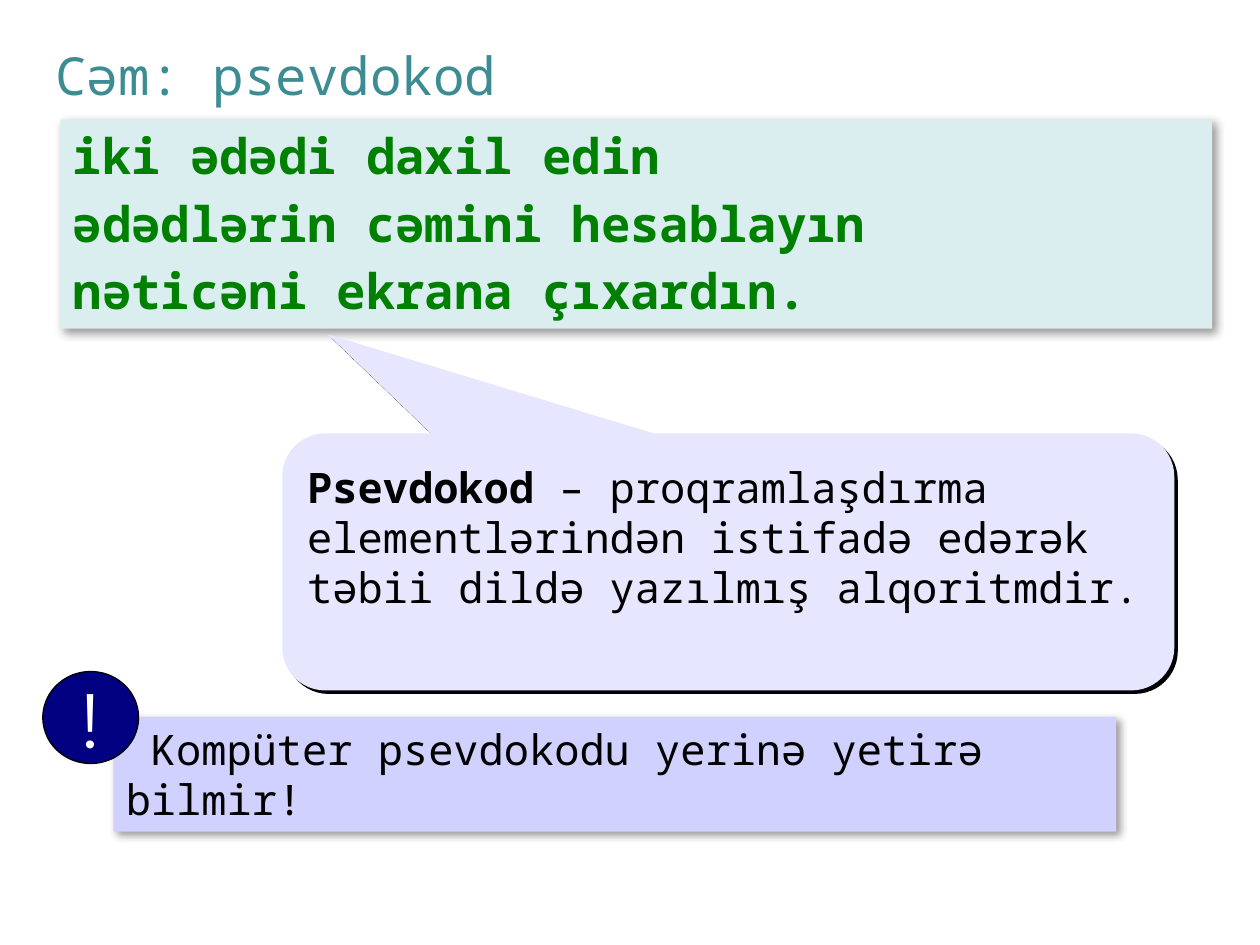
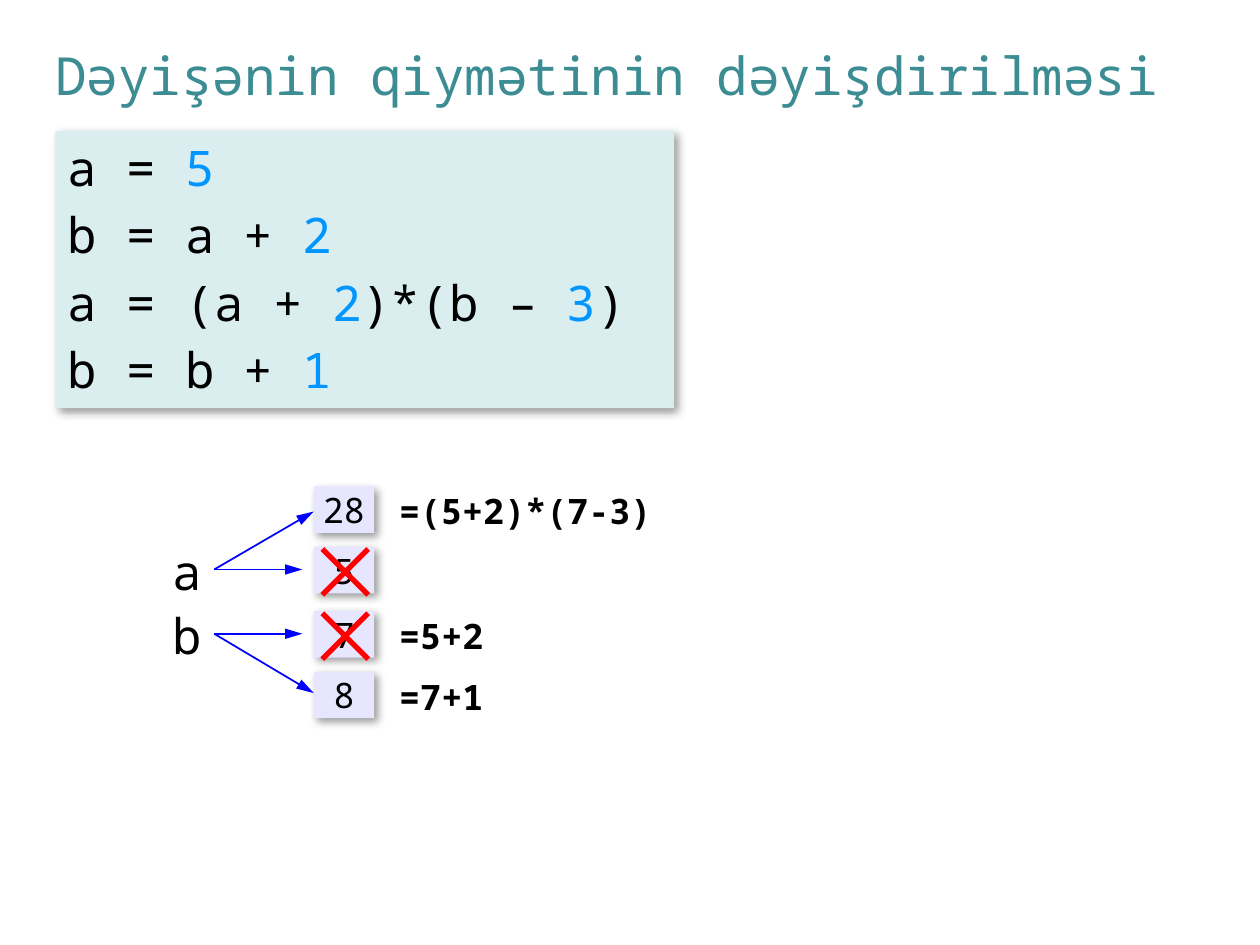
from itertools import groupby

from lxml.etree import SubElement
from pptx import Presentation
from pptx.dml.color import RGBColor
from pptx.enum.shapes import MSO_CONNECTOR as Connector, MSO_SHAPE as Shape
from pptx.enum.text import MSO_ANCHOR as Anchor, MSO_AUTO_SIZE as AutoSize, PP_ALIGN as Align
from pptx.oxml.ns import qn
from pptx.util import Inches, Pt

MONO = "Noto Sans Mono"
TEAL = "3C8C93"
PALE_TEAL = "DAEDEF"
LAVENDER = "E6E6FF"
LILAC = "D1D1FF"
NAVY = "000080"
GREEN = "008000"
NUMBER_BLUE = "0095FF"
ARROW_BLUE = "0000FF"
RED = "FF0000"
BLACK = "000000"
WHITE = "FFFFFF"


def rgb(value):
    return RGBColor.from_string(value)


def format_run(run, size, color=BLACK, bold=False, font=MONO):
    run.font.name = font
    run.font.size = Pt(size)
    run.font.bold = bold
    run.font.color.rgb = rgb(color)


def add_runs(paragraph, pieces, size):
    for text, color, bold in pieces:
        run = paragraph.add_run()
        run.text = text
        format_run(run, size, color, bold)


def add_shadow(shape, alpha=40, blur=5, distance=3):
    effects = shape._element.spPr.find(qn("a:effectLst"))
    shadow = SubElement(effects, qn("a:outerShdw"), blurRad=str(Pt(blur)),
                        dist=str(Pt(distance)), dir="2700000", algn="tl", rotWithShape="0")
    color = SubElement(shadow, qn("a:srgbClr"), val=BLACK)
    SubElement(color, qn("a:alpha"), val=str(alpha * 1000))


def add_plain_shape(shapes, kind, box, fill):
    shape = shapes.add_shape(kind, *map(Inches, box))
    shape.shadow.inherit = False
    shape.fill.solid()
    shape.fill.fore_color.rgb = rgb(fill)
    shape.line.fill.background()
    return shape


def set_frame(text_frame, anchor=Anchor.TOP, wrap=True):
    text_frame.vertical_anchor = anchor
    text_frame.word_wrap = wrap
    text_frame.auto_size = AutoSize.NONE


def add_text_panel(shapes, box, fill, lines, size):
    panel = add_plain_shape(shapes, Shape.RECTANGLE, box, fill)
    add_shadow(panel)
    text_frame = panel.text_frame
    set_frame(text_frame)
    for index, pieces in enumerate(lines):
        paragraph = text_frame.add_paragraph() if index else text_frame.paragraphs[0]
        paragraph.alignment = Align.LEFT
        if index:
            paragraph.space_before = Pt(4.9)
        add_runs(paragraph, pieces, size)
    return panel


def add_label(slide, text, box, size, bold=False, anchor=Anchor.TOP):
    label = slide.shapes.add_textbox(*map(Inches, box))
    set_frame(label.text_frame, anchor, wrap=False)
    label.text_frame.text = text
    format_run(label.text_frame.paragraphs[0].runs[0], size, bold=bold)


def add_centered_text(shape, text, size, color=BLACK, font=MONO):
    set_frame(shape.text_frame, Anchor.MIDDLE, wrap=False)
    shape.text_frame.text = text
    paragraph = shape.text_frame.paragraphs[0]
    paragraph.alignment = Align.CENTER
    format_run(paragraph.runs[0], size, color, font=font)


def add_callout(slide, box, adjustments, pieces):
    callout = add_plain_shape(slide.shapes, Shape.ROUNDED_RECTANGULAR_CALLOUT, box, LAVENDER)
    for index, value in enumerate(adjustments):
        callout.adjustments[index] = value
    add_shadow(callout, alpha=100, blur=0, distance=2.8)
    set_frame(callout.text_frame, Anchor.MIDDLE)
    callout.text_frame.margin_bottom = Inches(0.45)
    paragraph = callout.text_frame.paragraphs[0]
    paragraph.alignment = Align.LEFT
    add_runs(paragraph, pieces, 24)


def add_warning(slide, text):
    shapes = slide.shapes.add_group_shape().shapes
    panel = add_text_panel(shapes, (0.9, 5.69, 7.96, 0.91), LILAC, [[(text, BLACK, False)]], 24)
    properties = panel.text_frame.paragraphs[0]._p.get_or_add_pPr()
    properties.set("indent", str(Inches(0.2)))
    badge = add_plain_shape(shapes, Shape.OVAL, (0.34, 5.33, 0.76, 0.73), NAVY)
    badge.line.color.rgb = rgb(BLACK)
    badge.line.width = Pt(0.75)
    add_centered_text(badge, "!", 44, WHITE, "Montserrat")


def add_value_box(slide, text, top):
    box = add_plain_shape(slide.shapes, Shape.RECTANGLE, (2.49, top, 0.48, 0.37), LAVENDER)
    add_shadow(box)
    add_centered_text(box, text, 20)


def add_arrow(slide, start, end):
    arrow = slide.shapes.add_connector(Connector.STRAIGHT, *map(Inches, start + end))
    arrow.line.color.rgb = rgb(ARROW_BLUE)
    arrow.line.width = Pt(1)
    SubElement(arrow.line._get_or_add_ln(), qn("a:tailEnd"), type="triangle", w="med", len="lg")
    SubElement(arrow._element.spPr, qn("a:effectLst"))


def add_cross(slide, top):
    cross = add_plain_shape(slide.shapes, Shape.MATH_PLUS, (2.39, top, 0.7, 0.7), RED)
    cross.adjustments[0] = 0.06
    cross.rotation = 45


def color_numbers(code):
    return [("".join(part), NUMBER_BLUE if is_number else BLACK, False)
            for is_number, part in groupby(code, str.isdigit)]


def add_titled_slide(presentation, text):
    slide = presentation.slides.add_slide(presentation.slide_layouts[5])
    title = slide.shapes.title
    title.left, title.top, title.width, title.height = map(Inches, (0.34, 0.33, 9.16, 0.52))
    set_frame(title.text_frame, Anchor.MIDDLE)
    title.text_frame.text = text
    paragraph = title.text_frame.paragraphs[0]
    paragraph.alignment = Align.LEFT
    format_run(paragraph.runs[0], 30, TEAL)
    return slide


def build_pseudocode_slide(presentation):
    slide = add_titled_slide(presentation, "Cəm: psevdokod")
    steps = ["iki ədədi daxil edin", "ədədlərin cəmini hesablayın", "nəticəni ekrana çıxardın."]
    add_text_panel(slide.shapes, (0.48, 0.95, 9.14, 1.66), PALE_TEAL,
                   [[(step, GREEN, True)] for step in steps], 28)
    add_callout(slide, (2.24, 3.44, 7.08, 2.04), (-0.449, -0.885, 0.167), [
        ("Psevdokod ", BLACK, True),
        ("– proqramlaşdırma elementlərindən istifadə edərək təbii dildə yazılmış alqoritmdir.",
         BLACK, False),
    ])
    add_warning(slide, "Kompüter psevdokodu yerinə yetirə bilmir!")


def build_variable_slide(presentation):
    slide = add_titled_slide(presentation, "Dəyişənin qiymətinin dəyişdirilməsi")
    code = ["a = 5", "b = a + 2", "a = (a + 2)*(b – 3)", "b = b + 1"]
    add_text_panel(slide.shapes, (0.44, 1.04, 4.91, 2.2), PALE_TEAL,
                   [color_numbers(line) for line in code], 28)

    values = [("28", 3.86, "=(5+2)*(7-3)", 2.27), ("5", 4.34, None, 0),
              ("7", 4.85, "=5+2", 0.95), ("8", 5.33, "=7+1", 0.95)]
    for value, top, formula, width in values:
        add_value_box(slide, value, top)
        if formula:
            add_label(slide, formula, (3.07, top + 0.01, width, 0.37), 20, True, Anchor.MIDDLE)

    variables = [("a", 4.52, 4.06), ("b", 5.03, 5.5)]
    for name, old_value_y, new_value_y in variables:
        add_label(slide, name, (1.27, old_value_y - 0.27, 0.41, 0.57), 28)
        start = (1.7, old_value_y)
        add_arrow(slide, start, (2.4, old_value_y))
        add_arrow(slide, start, (2.49, new_value_y))
        add_cross(slide, old_value_y - 0.33)


def main():
    presentation = Presentation()
    presentation.slide_width = Inches(10)
    presentation.slide_height = Inches(7.5)
    build_pseudocode_slide(presentation)
    build_variable_slide(presentation)
    presentation.save("out.pptx")


if __name__ == "__main__":
    main()
